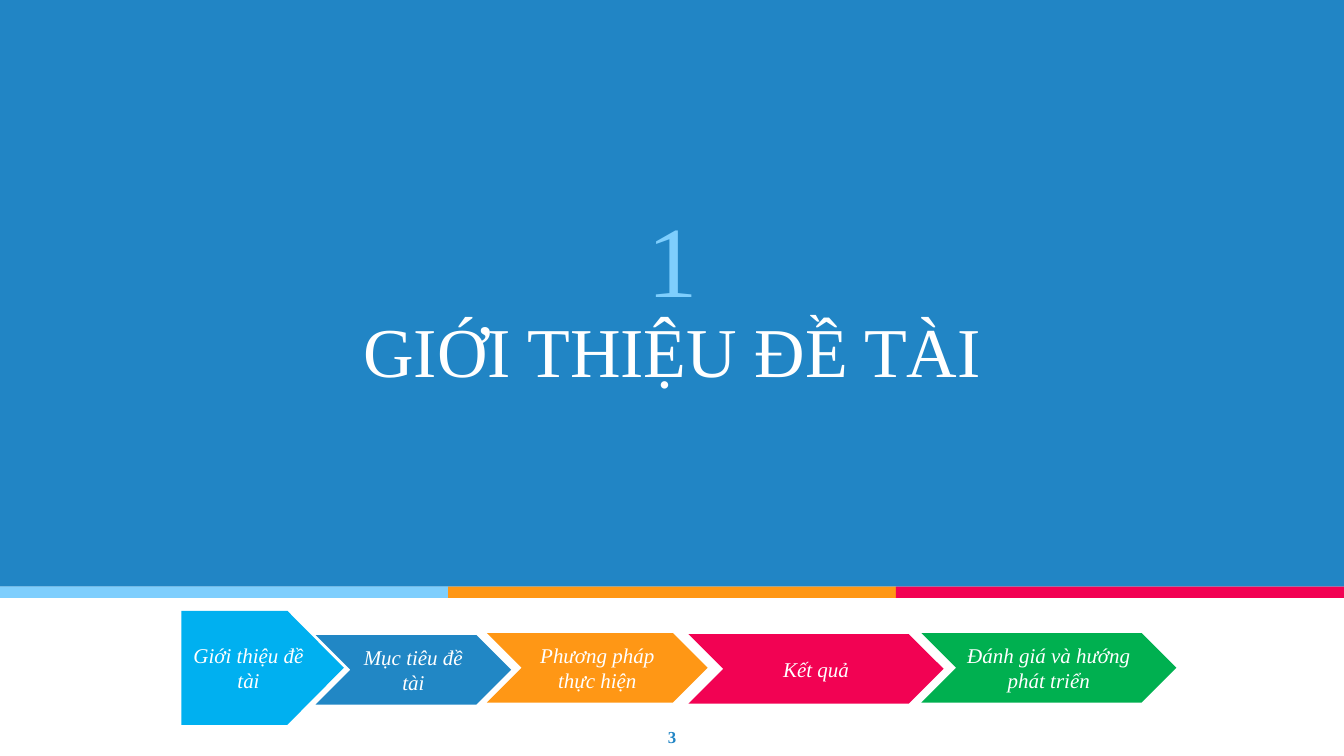
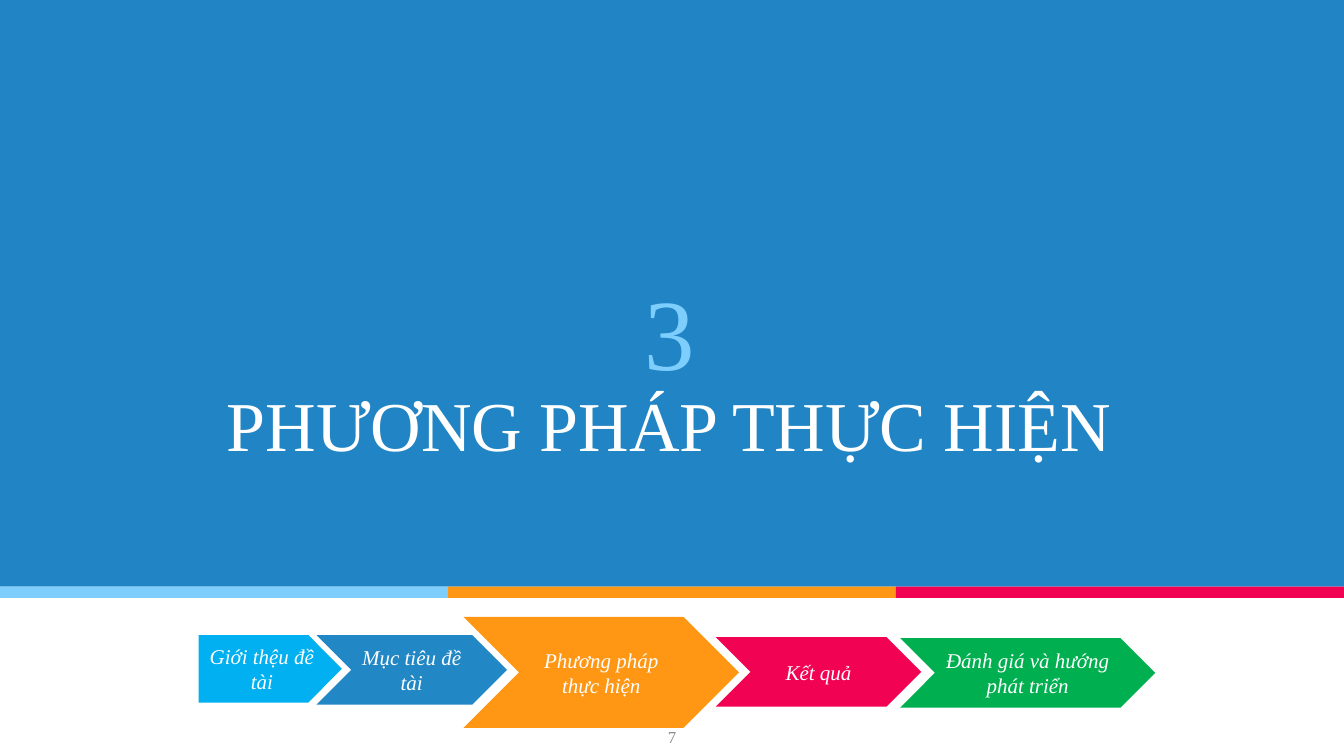
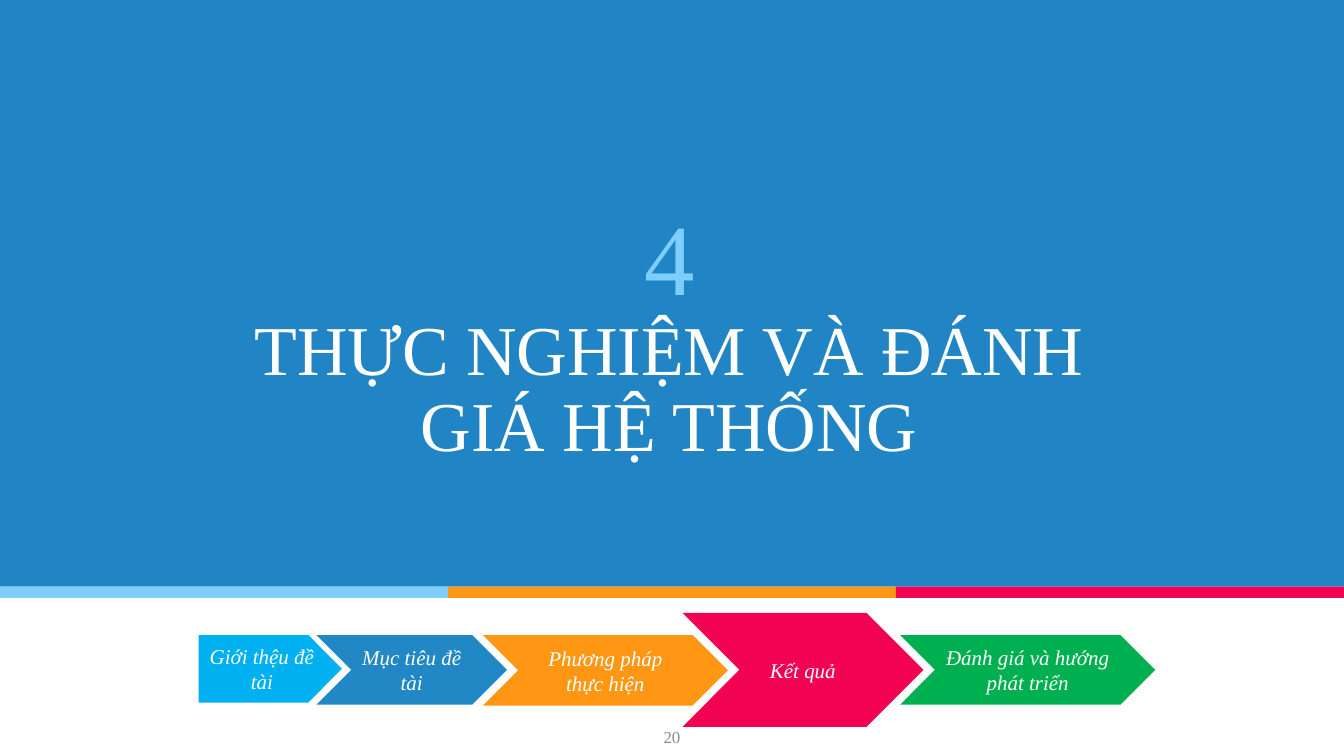
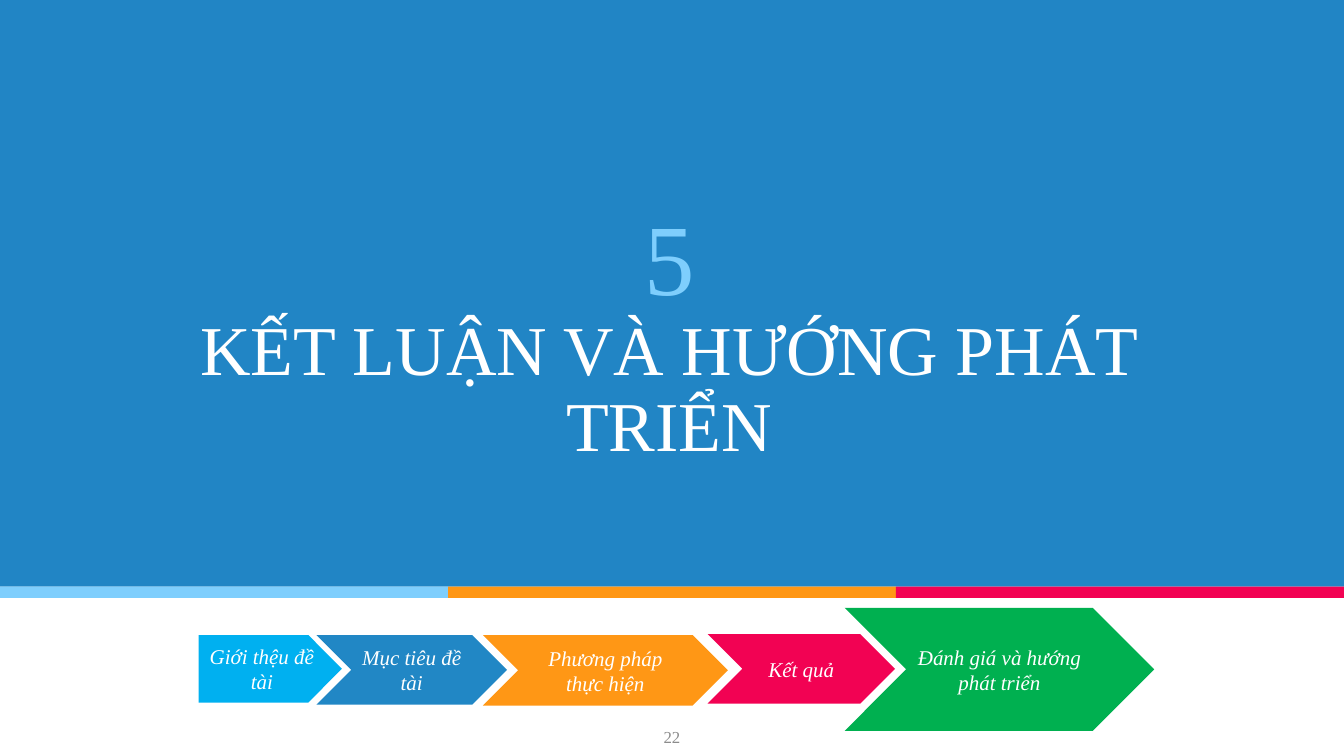
"""Build four section-divider slides with a progress bar of arrow steps."""
from dataclasses import dataclass
from typing import NamedTuple

from pptx import Presentation
from pptx import util as u
from pptx.dml.color import RGBColor
from pptx.enum import shapes, text

WIDTH, HEIGHT = u.Inches(13.333), u.Inches(7.5)


class Place(NamedTuple):
    """Left, top, width and height as percentages of the slide's size."""
    left: float
    top: float
    width: float
    height: float

    def lengths(self) -> tuple[int, ...]:
        """Return the four lengths in EMU."""
        sides = (WIDTH, HEIGHT, WIDTH, HEIGHT)
        return tuple(round(share * side / 100) for share, side in zip(self, sides))


@dataclass(frozen=True)
class Theme:
    """Colours, typeface and type sizes shared by the slides."""
    font: str = "Times New Roman"
    white: str = "FFFFFF"
    blue: str = "2185C5"
    step_blue: str = "2187C5"
    light_blue: str = "7ECEFD"
    cyan: str = "00B0F0"
    orange: str = "FF9715"
    red: str = "F20253"
    green: str = "00B050"
    grey: str = "8C8C8C"
    ordinal_size: int = 72
    title_size: int = 50
    step_size: int = 15
    page_size: int = 12


THEME = Theme()


class Step(NamedTuple):
    """One arrow of the progress bar, at its usual place."""
    label: str
    colour: str
    place: Place
    preset: shapes.MSO_SHAPE = shapes.MSO_SHAPE.CHEVRON
    point: float = 0.5


@dataclass(frozen=True)
class Section:
    """A divider slide, with the step places that differ from the usual ones."""
    ordinal: str
    title: str
    page: str
    moved: dict[str, Place]
    relabelled: dict[str, str]
    title_place: Place = Place(13.65, 26.13, 72.3, 36.93)
    page_colour: str = THEME.grey
    page_bold: bool = False


BAND_TOP, BAND_HEIGHT = 77.6, 1.5
PAGE_PLACE = Place(12.5, 94.8, 75, 5.2)

STEPS = {
    "intro": Step("Giới thệu đề tài", THEME.cyan, Place(14.78, 84, 10.65, 8.93),
                  shapes.MSO_SHAPE.PENTAGON, 0.495),
    "goals": Step("Mục tiêu đề tài", THEME.step_blue, Place(23.55, 84, 14.18, 9.2)),
    "method": Step("Phương pháp thực hiện", THEME.orange, Place(35.93, 84, 18.23, 9.33)),
    "result": Step("Kết quả", THEME.red, Place(52.65, 83.87, 13.95, 9.2)),
    "review": Step("Đánh giá và hướng phát triển", THEME.green, Place(66.98, 84, 18.98, 9.2)),
}

SECTIONS = (
    Section("1", "GIỚI THIỆU ĐỀ TÀI", "3",
            {"intro": Place(13.5, 80.8, 12.08, 15.07),
             "goals": Place(23.48, 84, 14.55, 9.2),
             "method": Place(36.23, 83.73, 16.43, 9.2),
             "result": Place(51.23, 83.87, 18.98, 9.2),
             "review": Place(68.55, 83.73, 18.98, 9.2)},
            {"intro": "Giới thiệu đề tài"},
            Place(18.15, 30.8, 63.75, 22.53), THEME.blue, True),
    Section("3", "PHƯƠNG PHÁP THỰC HIỆN", "7",
            {"method": Place(34.5, 81.6, 20.48, 14.67),
             "result": Place(53.25, 84.27, 15.3, 9.2),
             "review": Place(66.98, 84.4, 18.98, 9.2)}, {}),
    Section("4", "THỰC NGHIỆM VÀ ĐÁNH GIÁ HỆ THỐNG", "20",
            {"result": Place(50.78, 81.07, 17.93, 15.07)}, {}),
    Section("5", "KẾT LUẬN VÀ HƯỚNG PHÁT TRIỂN", "22",
            {"review": Place(62.85, 80.4, 23.03, 16.27)}, {}),
)


def add_block(slide, place: Place, colour: str, preset=shapes.MSO_SHAPE.RECTANGLE):
    """Add a plain filled shape without line or shadow."""
    shape = slide.shapes.add_shape(preset, *place.lengths())
    shape.shadow.inherit = False
    shape.fill.solid()
    shape.fill.fore_color.rgb = RGBColor.from_string(colour)
    shape.line.fill.background()
    return shape


def set_frame(shape, anchor: text.MSO_ANCHOR):
    """Give a shape's text frame wrapping, equal insets and an anchor."""
    frame = shape.text_frame
    frame.word_wrap = True
    frame.auto_size = text.MSO_AUTO_SIZE.NONE
    frame.vertical_anchor = anchor
    frame.margin_left = frame.margin_top = u.Inches(0.1)
    frame.margin_right = frame.margin_bottom = u.Inches(0.1)
    return frame


def write(paragraph, words: str, size: int, colour: str, bold: bool = False,
          italic: bool = False, spacing: float = 1.0) -> None:
    """Write one centred paragraph."""
    paragraph.text = words
    paragraph.alignment = text.PP_ALIGN.CENTER
    paragraph.line_spacing = spacing
    font = paragraph.font
    font.name, font.size = THEME.font, u.Pt(size)
    font.bold, font.italic = bold, italic
    font.color.rgb = RGBColor.from_string(colour)


def add_bands(slide) -> None:
    """Draw the blue field and the three-colour stripe below it."""
    add_block(slide, Place(0, 0, 100, BAND_TOP), THEME.blue)
    third = 100 / 3
    for column, colour in enumerate((THEME.light_blue, THEME.orange, THEME.red)):
        add_block(slide, Place(column * third, BAND_TOP, third, BAND_HEIGHT), colour)


def add_title(slide, section: Section) -> None:
    """Write the section's ordinal above its title."""
    box = slide.shapes.add_textbox(*section.title_place.lengths())
    frame = set_frame(box, text.MSO_ANCHOR.BOTTOM)
    write(frame.paragraphs[0], section.ordinal, THEME.ordinal_size,
          THEME.light_blue, spacing=1.5)
    write(frame.add_paragraph(), section.title, THEME.title_size,
          THEME.white, spacing=0.9)


def add_steps(slide, section: Section) -> None:
    """Draw the progress bar."""
    for key, step in STEPS.items():
        place = section.moved.get(key, step.place)
        shape = add_block(slide, place, step.colour, step.preset)
        shape.adjustments[0] = step.point
        frame = set_frame(shape, text.MSO_ANCHOR.MIDDLE)
        write(frame.paragraphs[0], section.relabelled.get(key, step.label),
              THEME.step_size, THEME.white, italic=True)


def add_page_number(slide, section: Section) -> None:
    """Write the page number below the progress bar."""
    box = slide.shapes.add_textbox(*PAGE_PLACE.lengths())
    frame = set_frame(box, text.MSO_ANCHOR.TOP)
    write(frame.paragraphs[0], section.page, THEME.page_size,
          section.page_colour, bold=section.page_bold)


def main() -> None:
    """Build and save the presentation."""
    presentation = Presentation()
    presentation.slide_width, presentation.slide_height = WIDTH, HEIGHT
    for section in SECTIONS:
        slide = presentation.slides.add_slide(presentation.slide_layouts[6])
        add_bands(slide)
        add_title(slide, section)
        add_steps(slide, section)
        add_page_number(slide, section)
    presentation.save("out.pptx")


if __name__ == "__main__":
    main()
